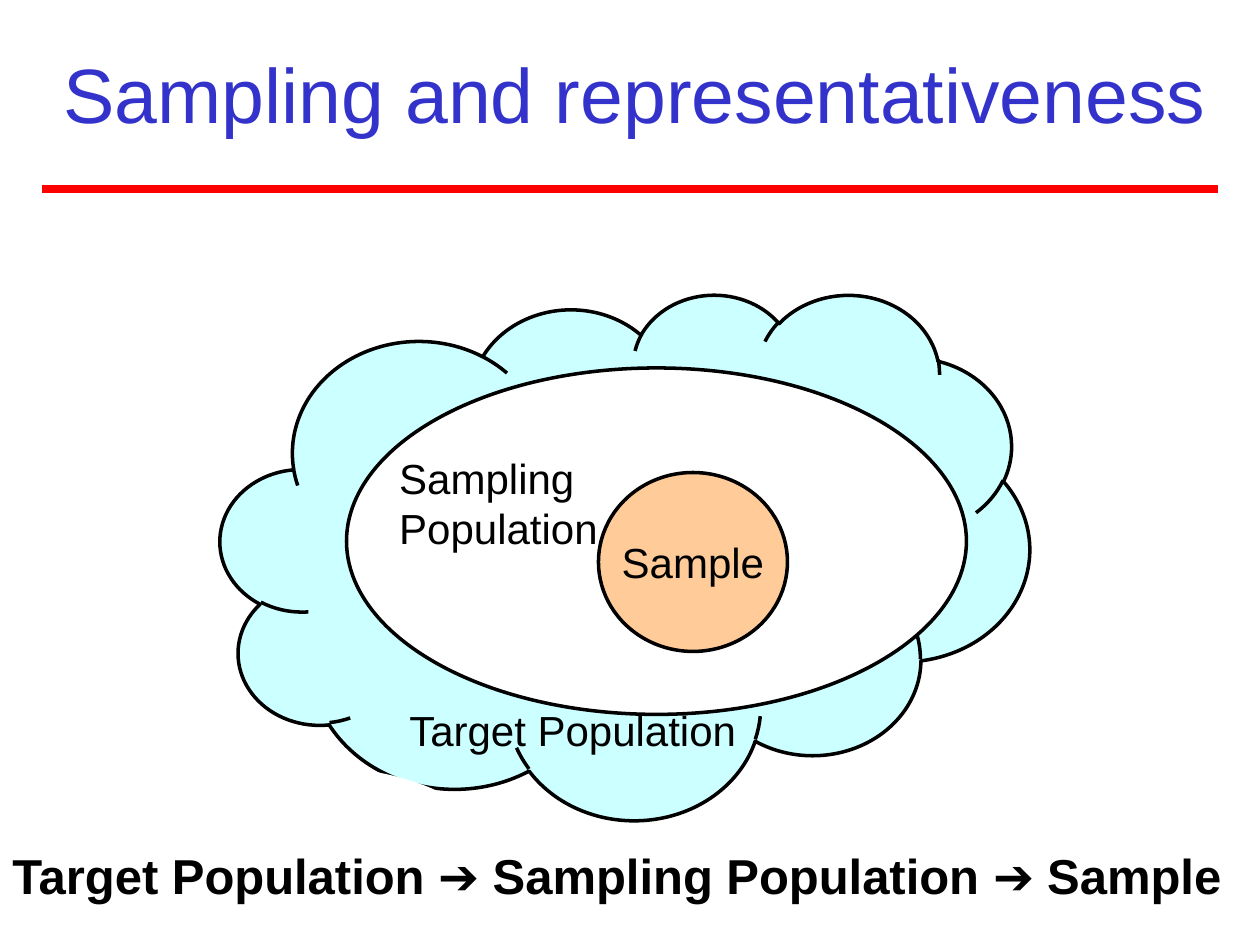
from pptx import Presentation
from pptx.dml.color import RGBColor
from pptx.enum.shapes import MSO_CONNECTOR, MSO_SHAPE
from pptx.enum.text import MSO_ANCHOR, MSO_AUTO_SIZE, PP_ALIGN
from pptx.oxml.ns import qn
from pptx.util import Inches, Pt
from lxml import etree

BLACK = RGBColor(0x00, 0x00, 0x00)
WHITE = RGBColor(0xFF, 0xFF, 0xFF)
BLUE = RGBColor(0x33, 0x33, 0xCC)
RED = RGBColor(0xFF, 0x00, 0x00)
CYAN = RGBColor(0xCC, 0xFF, 0xFF)
PEACH = RGBColor(0xFF, 0xCC, 0x99)

OVAL, CLOUD = MSO_SHAPE.OVAL, MSO_SHAPE.CLOUD_CALLOUT
STRAIGHT = MSO_CONNECTOR.STRAIGHT
MIDDLE, TOP = MSO_ANCHOR.MIDDLE, MSO_ANCHOR.TOP
CENTER, LEFT = PP_ALIGN.CENTER, PP_ALIGN.LEFT
FIXED, GROW = MSO_AUTO_SIZE.NONE, MSO_AUTO_SIZE.SHAPE_TO_FIT_TEXT


class Board:
    def __init__(self, slide):
        self.slide = slide
        self.font = {"name": "Arial", "size": Pt(24), "bold": False}

    def letter(self, shape, text, frame, align=LEFT, color=BLACK, **font):
        """Fill a shape with text, one paragraph per line."""
        body = shape.text_frame
        body.text = text
        for key, value in frame.items():
            setattr(body, key, value)
        for para in body.paragraphs:
            para.alignment = align
            for run in para.runs:
                for key, value in {**self.font, **font}.items():
                    setattr(run.font, key, value)
                run.font.color.rgb = color

    def title(self, text, *box):
        shape = self.slide.shapes.title
        shape.left, shape.top, shape.width, shape.height = map(Inches, box)
        frame = {"vertical_anchor": MIDDLE, "word_wrap": True, "auto_size": FIXED}
        self.letter(shape, text, frame, CENTER, BLUE, size=Pt(44))

    def rule(self, x1, x2, y):
        line = self.slide.shapes.add_connector(
            STRAIGHT, *map(Inches, (x1, y, x2, y)))
        line.line.color.rgb = RED
        line.line.width = Pt(4.5)
        etree.SubElement(line._element.spPr, qn("a:effectLst"))

    def shape(self, kind, fill, *box, edge=True):
        shape = self.slide.shapes.add_shape(kind, *map(Inches, box))
        shape.shadow.inherit = False
        shape.fill.solid()
        shape.fill.fore_color.rgb = fill
        if edge:
            shape.line.color.rgb = BLACK
            shape.line.width = Pt(2)
        else:
            shape.line.fill.background()
        return shape

    def label(self, text, *box, **font):
        shape = self.slide.shapes.add_textbox(*map(Inches, box))
        frame = {"vertical_anchor": TOP, "word_wrap": False, "auto_size": GROW}
        self.letter(shape, text, frame, **font)


def main():
    deck = Presentation()
    deck.slide_width, deck.slide_height = Inches(10), Inches(7.5)
    board = Board(deck.slides.add_slide(deck.slide_layouts[5]))

    board.title("Sampling and representativeness", 0.25, 0.11, 9.58, 1.25)
    board.rule(0.33, 9.67, 1.5)

    cloud = board.shape(CLOUD, CYAN, 1.75, 2.33, 6.42, 4.17)
    cloud.adjustments[0], cloud.adjustments[1] = -0.44, 0.7
    # The white oval covers the tail bubbles of the cloud.
    board.shape(OVAL, WHITE, 1, 6.08, 2.92, 1.42, edge=False)
    board.shape(OVAL, WHITE, 2.75, 2.92, 4.92, 2.75)
    sample = board.shape(OVAL, PEACH, 4.75, 3.75, 1.5, 1.42)
    board.letter(sample, "Sample",
                 {"vertical_anchor": MIDDLE, "word_wrap": False}, CENTER)

    board.label("Target Population", 3.15, 5.54, 2.84, 0.5)
    board.label("Sampling\nPopulation", 3.07, 3.54, 1.78, 0.9)
    board.label("Target Population ➔ Sampling Population ➔ Sample",
                0, 6.66, 10.02, 0.57, size=Pt(28), bold=True)

    deck.save("out.pptx")


if __name__ == "__main__":
    main()
